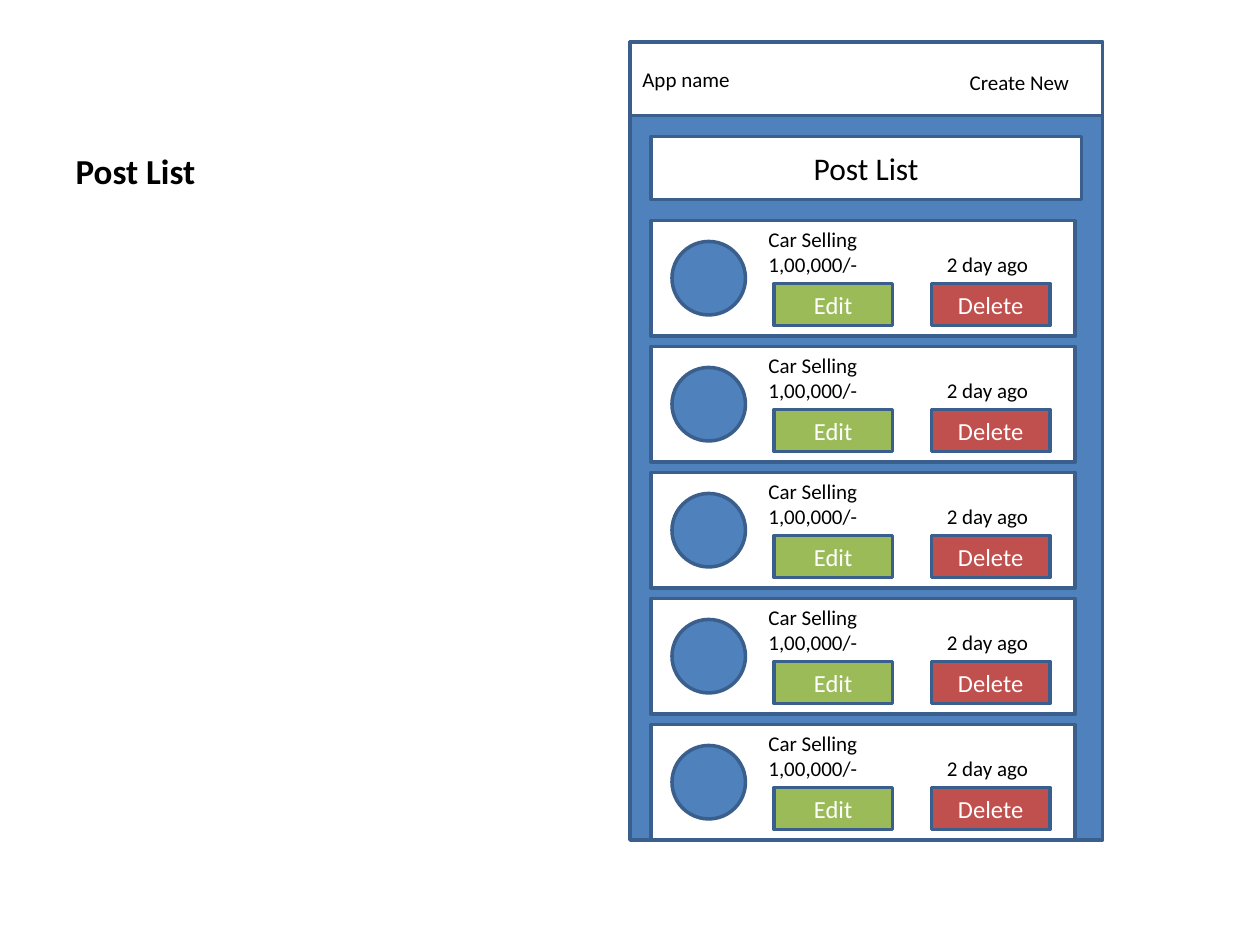
from dataclasses import dataclass

from lxml.etree import SubElement
from pptx import Presentation
from pptx.dml.color import RGBColor as Rgb
from pptx.enum.shapes import MSO_SHAPE as Shape
from pptx.enum.text import MSO_ANCHOR as Anchor, MSO_AUTO_SIZE as AutoSize, PP_ALIGN as Align
from pptx.oxml.ns import qn
from pptx.util import Inches, Pt


@dataclass(frozen=True)
class Theme:
    font: str = "Calibri"
    ink: str = "000000"
    paper: str = "FFFFFF"
    blue: str = "4F81BD"
    border: str = "3A5F8C"
    green: str = "9BBB59"
    red: str = "C0504D"
    title: int = 20
    heading: int = 18
    button: int = 14
    body: int = 12
    border_width: int = 2


THEME = Theme()
SLIDE_W, SLIDE_H = Inches(10), Inches(7.5)
COLUMNS, ROWS = 120, 90
POSTS = [("Car Selling", "1,00,000/-", "2 day ago")] * 5


@dataclass(frozen=True)
class Box:
    x: float
    y: float
    w: float
    h: float

    def inner(self, dx, dy, w, h):
        return Box(self.x + dx, self.y + dy, w, h)

    def lengths(self):
        col, row = SLIDE_W / COLUMNS, SLIDE_H / ROWS
        return [round(n) for n in (self.x * col, self.y * row, self.w * col, self.h * row)]


def write(frame, text, size, color=THEME.ink, align=Align.LEFT, anchor=Anchor.MIDDLE, bold=False):
    frame.text = text
    frame.word_wrap = True
    frame.vertical_anchor = anchor
    for paragraph in frame.paragraphs:
        paragraph.alignment = align
        for run in paragraph.runs:
            run.font.name = THEME.font
            run.font.size = Pt(size)
            run.font.bold = bold
            run.font.color.rgb = Rgb.from_string(color)


def add_panel(slide, box, fill, kind=Shape.RECTANGLE):
    panel = slide.shapes.add_shape(kind, *box.lengths())
    panel.shadow.inherit = False
    panel.fill.solid()
    panel.fill.fore_color.rgb = Rgb.from_string(fill)
    panel.line.color.rgb = Rgb.from_string(THEME.border)
    panel.line.width = Pt(THEME.border_width)
    return panel


def add_label(slide, box, text, align=Align.LEFT):
    label = slide.shapes.add_textbox(*box.lengths())
    write(label.text_frame, text, THEME.body, align=align, anchor=Anchor.TOP)
    label.text_frame.auto_size = AutoSize.SHAPE_TO_FIT_TEXT
    return label


def set_tab_stop(paragraph, columns):
    stops = SubElement(paragraph._p.get_or_add_pPr(), qn("a:tabLst"))
    SubElement(stops, qn("a:tab"), pos=str(round(columns * SLIDE_W / COLUMNS)), algn="l")


def place_title(slide, box):
    title = slide.shapes.title
    title.left, title.top, title.width, title.height = box.lengths()
    write(title.text_frame, "Post List", THEME.title, anchor=Anchor.BOTTOM, bold=True)
    title.text_frame.auto_size = AutoSize.NONE


def build_header(slide, box):
    bar = add_panel(slide, box, THEME.paper)
    write(bar.text_frame, "App name", THEME.body)
    add_label(slide, box.inner(27, 2, 16, 3.6), "Create New", Align.RIGHT)


def build_card(slide, box, post):
    name, price, age = post
    add_panel(slide, box, THEME.paper)
    add_panel(slide, box.inner(2, 2, 7, 7), THEME.blue, Shape.OVAL)
    details = add_label(slide, box.inner(10, 0, 28, 6), f"{name}\n{price}\t{age}")
    set_tab_stop(details.text_frame.paragraphs[1], 17)
    actions = [("Edit", THEME.green), ("Delete", THEME.red)]
    for i, (action, fill) in enumerate(actions):
        button = add_panel(slide, box.inner(11.7 + 15 * i, 6, 11.3, 4), fill)
        write(button.text_frame, action, THEME.button, THEME.paper, Align.CENTER)


def build_phone(slide, box):
    add_panel(slide, box, THEME.blue)
    build_header(slide, box.inner(0, 0, box.w, 7))
    heading = add_panel(slide, box.inner(2, 9, box.w - 4, 6), THEME.paper)
    write(heading.text_frame, "Post List", THEME.heading, align=Align.CENTER)
    for i, post in enumerate(POSTS):
        build_card(slide, box.inner(2, 17 + 12 * i, 40.4, 11), post)


def main():
    deck = Presentation()
    deck.slide_width, deck.slide_height = SLIDE_W, SLIDE_H
    slide = deck.slides.add_slide(deck.slide_layouts[5])
    place_title(slide, Box(6, 3.6, 39.5, 15.25))
    build_phone(slide, Box(60, 4, 45, 76))
    deck.save("out.pptx")


if __name__ == "__main__":
    main()
